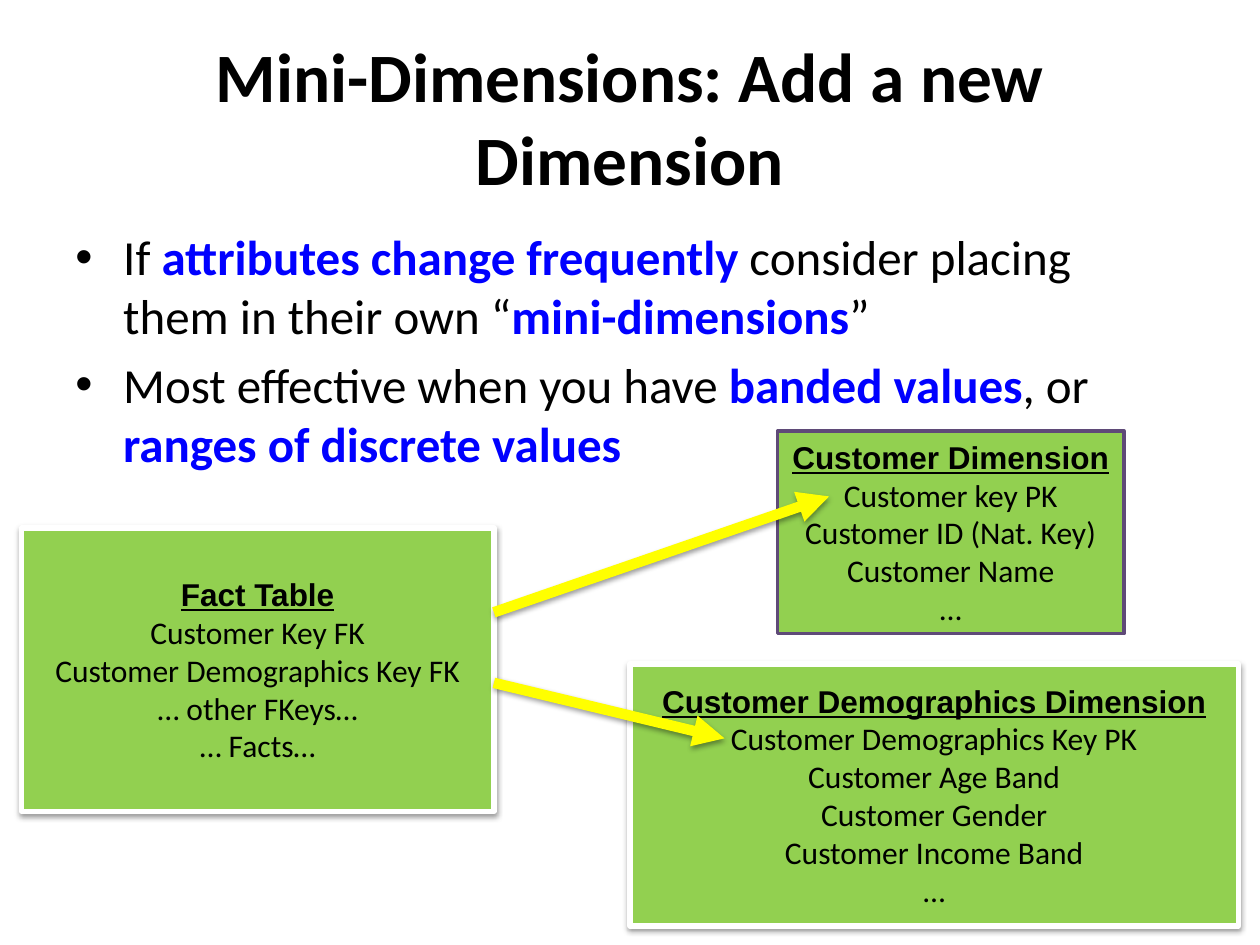
"""Build the slide on splitting changing attributes into a mini-dimension."""
from dataclasses import dataclass

import pptx
import pptx.dml.color
import pptx.enum.dml
import pptx.enum.shapes
import pptx.enum.text
import pptx.oxml
import pptx.oxml.ns
import pptx.util

Inches = pptx.util.Inches
Pt = pptx.util.Pt
Align = pptx.enum.text.PP_ALIGN
Anchor = pptx.enum.text.MSO_ANCHOR


def rgb(value):
    return pptx.dml.color.RGBColor.from_string(value)


@dataclass(frozen=True)
class Theme:
    body_font: str = "Calibri"
    heading_font: str = "Arial"
    text: str = "000000"
    emphasis: str = "0000FF"
    table_fill: str = "92D050"
    table_line: str = "FFFFFF"
    framed_line: str = "5F4A78"
    arrow: str = "FFFF00"
    title_size: float = 39.6
    bullet_size: float = 28
    table_size: float = 18


THEME = Theme()


def set_font(font, name, size, bold=None, underline=None):
    font.name, font.size = name, Pt(size)
    font.bold, font.underline = bold, underline
    font.color.rgb = rgb(THEME.text)


def add_xml(parent, xml):
    namespace = pptx.oxml.ns.nsdecls("a")
    element = pptx.oxml.parse_xml(xml.replace("/>", f" {namespace}/>", 1)
                                  if xml.endswith("/>") and xml.count("<") == 1
                                  else xml.replace(">", f" {namespace}>", 1))
    parent.append(element)
    return element


def add_shadow(effects):
    add_xml(effects, '<a:outerShdw blurRad="40000" dist="20000" dir="5400000" rotWithShape="0">'
                     '<a:srgbClr val="000000"><a:alpha val="38000"/></a:srgbClr></a:outerShdw>')


def add_text_area(slide, left, top, width, height):
    area = slide.shapes.add_textbox(Inches(left), Inches(top), Inches(width), Inches(height))
    area.text_frame.word_wrap = True
    return area.text_frame


def add_title(slide, wording):
    frame = add_text_area(slide, 0.5, 0.3, 9, 1.25)
    frame.vertical_anchor = Anchor.MIDDLE
    heading = frame.paragraphs[0]
    heading.text = wording
    heading.alignment = Align.CENTER
    set_font(heading.font, THEME.body_font, THEME.title_size, bold=True)


def add_bullets(slide, bullets):
    """Write bullets whose phrases alternate between plain and emphasised."""
    frame = add_text_area(slide, 0.5, 1.75, 9, 4.95)
    for index, phrases in enumerate(bullets):
        bullet = frame.add_paragraph() if index else frame.paragraphs[0]
        properties = bullet._p.get_or_add_pPr()
        properties.set("marL", str(Inches(0.38)))
        properties.set("indent", str(-Inches(0.38)))
        add_xml(properties, '<a:buFont typeface="Arial"/>')
        add_xml(properties, '<a:buChar char="•"/>')
        bullet.space_before = Pt(0.2 * THEME.bullet_size)
        set_font(bullet.font, THEME.body_font, THEME.bullet_size)
        for position, phrase in enumerate(phrases):
            run = bullet.add_run()
            run.text = phrase
            emphasised = position % 2 == 1
            run.font.bold = emphasised
            run.font.color.rgb = rgb(THEME.emphasis if emphasised else THEME.text)


def add_schema_table(slide, bounds, name, fields, framed=False):
    """Draw a database table as a box with its name above its fields."""
    box = slide.shapes.add_shape(pptx.enum.shapes.MSO_SHAPE.RECTANGLE, *map(Inches, bounds))
    box.fill.solid()
    box.fill.fore_color.rgb = rgb(THEME.table_fill)
    box.line.color.rgb = rgb(THEME.framed_line if framed else THEME.table_line)
    box.line.width = Pt(2 if framed else 3)
    box.shadow.inherit = False
    if not framed:
        add_shadow(box._element.spPr.find(pptx.oxml.ns.qn("a:effectLst")))
    frame = box.text_frame
    frame.word_wrap = False
    frame.vertical_anchor = Anchor.MIDDLE
    for index, wording in enumerate([name, *fields]):
        row = frame.add_paragraph() if index else frame.paragraphs[0]
        row.text = wording
        row.alignment = Align.CENTER
        is_name = index == 0
        set_font(row.font, THEME.heading_font if is_name else THEME.body_font,
                 THEME.table_size, bold=is_name, underline=is_name)


def add_key_arrow(slide, start, end):
    """Draw an arrow from a foreign key to the primary key it refers to."""
    arrow = slide.shapes.add_connector(pptx.enum.shapes.MSO_CONNECTOR.STRAIGHT,
                                       *map(Inches, (*start, *end)))
    arrow.line.color.rgb = rgb(THEME.arrow)
    arrow.line.width = Pt(6)
    add_xml(arrow.line._get_or_add_ln(), '<a:tailEnd type="triangle"/>')
    add_shadow(add_xml(arrow._element.spPr, "<a:effectLst/>"))


def main():
    deck = pptx.Presentation()
    deck.slide_width, deck.slide_height = Inches(10), Inches(7.5)
    slide = deck.slides.add_slide(deck.slide_layouts[6])

    add_title(slide, "Mini-Dimensions: Add a new Dimension")
    add_bullets(slide, [
        ["If ", "attributes change frequently", " consider placing them in their own “",
         "mini-dimensions", "”"],
        ["Most effective when you have ", "banded values", ", or ", "ranges of discrete values"],
    ])
    add_schema_table(slide, (0.17, 4.19, 3.75, 2.25), "Fact Table",
                     ["Customer Key FK", "Customer Demographics Key FK",
                      "… other FKeys…", "… Facts…"])
    add_schema_table(slide, (6.17, 3.42, 2.75, 1.61), "Customer Dimension",
                     ["Customer key PK", "Customer ID (Nat. Key)", "Customer Name", "…"],
                     framed=True)
    add_key_arrow(slide, (3.92, 4.86), (6.58, 3.94))
    add_schema_table(slide, (5, 5.27, 4.83, 2.08), "Customer Demographics Dimension",
                     ["Customer Demographics Key PK", "Customer Age Band",
                      "Customer Gender", "Customer Income Band", "…"])
    add_key_arrow(slide, (3.92, 5.42), (5.75, 5.86))
    deck.save("out.pptx")


if __name__ == "__main__":
    main()
